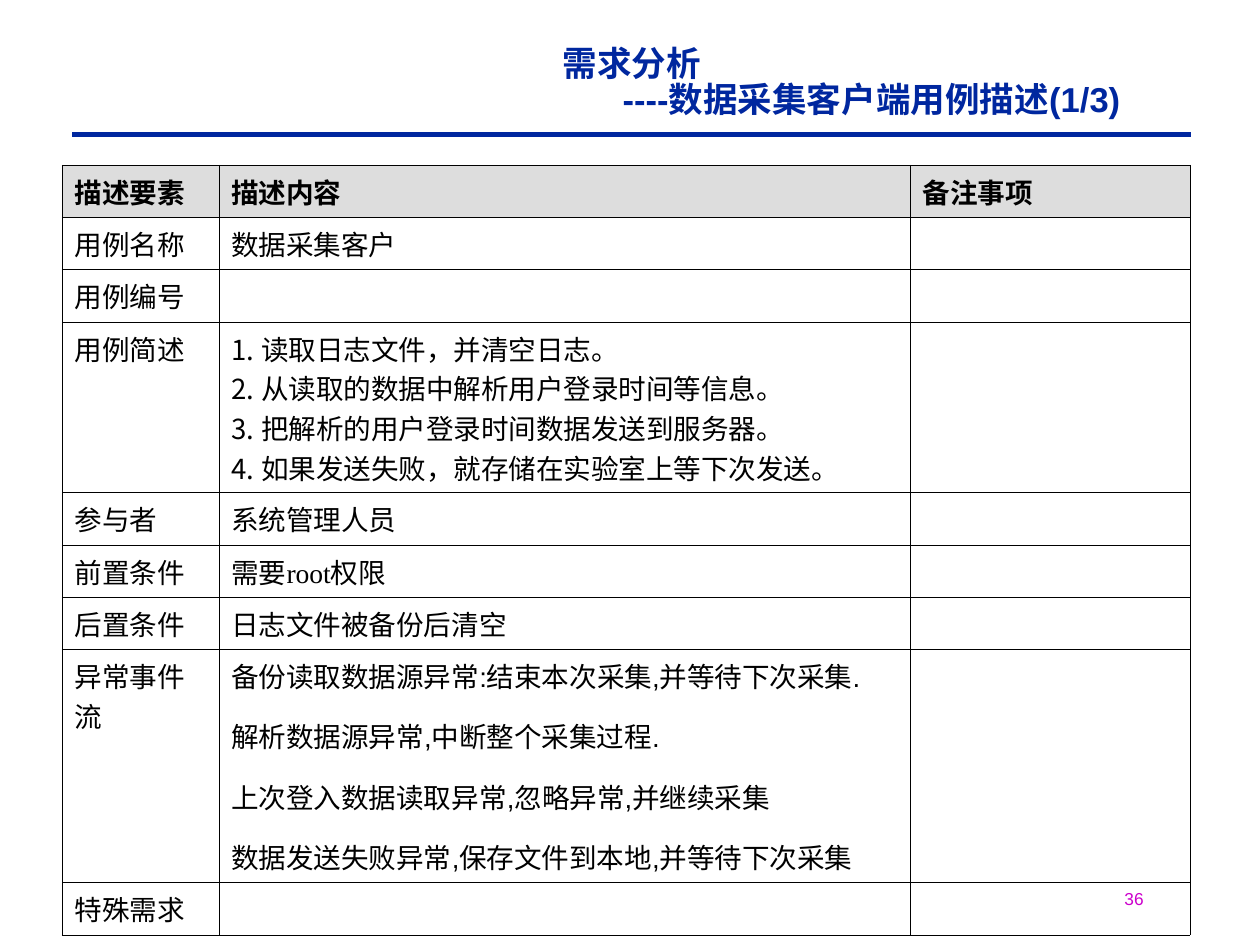
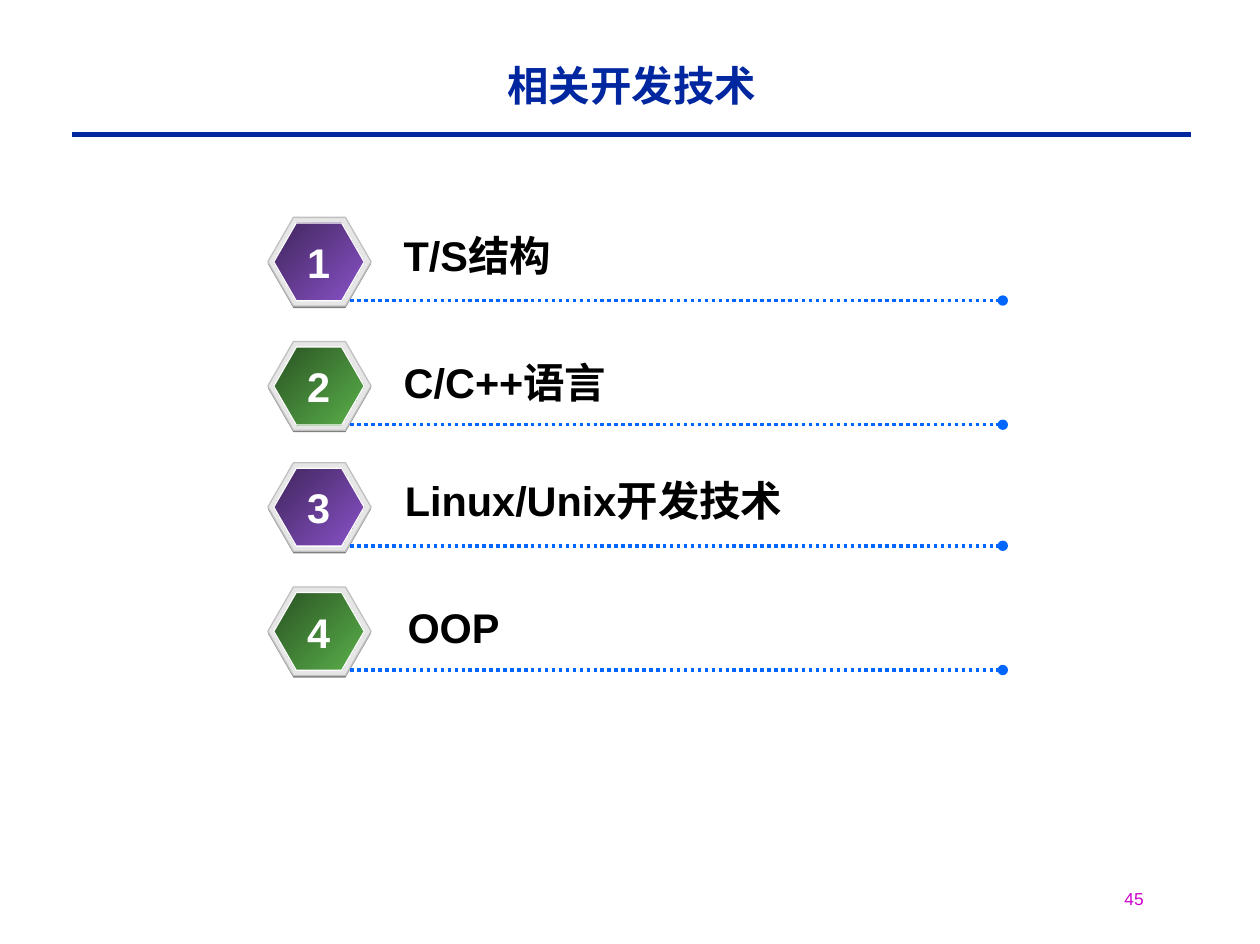
from lxml import etree
from pptx import Presentation
from pptx.dml.color import RGBColor
from pptx.enum.dml import MSO_LINE
from pptx.enum.shapes import MSO_CONNECTOR, MSO_SHAPE
from pptx.enum.text import MSO_ANCHOR, PP_ALIGN
from pptx.oxml.ns import qn
from pptx.util import Pt

NAVY = RGBColor(0x00, 0x27, 0x9F)
MAGENTA = RGBColor(0xCC, 0x00, 0xCC)
BLACK = RGBColor(0x00, 0x00, 0x00)
WHITE = RGBColor(0xFF, 0xFF, 0xFF)
HEADER_GRAY = RGBColor(0xDD, 0xDD, 0xDD)
SHADE_GRAY = RGBColor(0x80, 0x80, 0x80)
RIM_GRAY = RGBColor(0xE6, 0xE6, 0xE6)
EDGE_GRAY = RGBColor(0xC0, 0xC0, 0xC0)
DOT_BLUE = RGBColor(0x00, 0x66, 0xFF)
PURPLES = RGBColor(0x40, 0x26, 0x5D), RGBColor(0x8A, 0x52, 0xC8)
GREENS = RGBColor(0x2A, 0x52, 0x23), RGBColor(0x5A, 0xB1, 0x4B)

SANS, SERIF = "Arial", "Times New Roman"


class Deck:
    """Holds the shared style and the slide being built."""

    def __init__(self):
        self.presentation = Presentation()
        self.presentation.slide_width = Pt(730)
        self.presentation.slide_height = Pt(547.2)
        self.slide = None

    def add_slide(self, number):
        layout = self.presentation.slide_layouts[6]
        self.slide = self.presentation.slides.add_slide(layout)
        self.line(41.8, 689.8, 77.8, NAVY, 2.75)
        self.text(644.4, 511.2, 60, 19.4, [str(number)], 10, MAGENTA)

    def style(self, paragraph, size, color, bold=False, font=SANS):
        paragraph.font.name = font
        paragraph.font.size = Pt(size)
        paragraph.font.bold = bold
        paragraph.font.color.rgb = color

    def text(self, left, top, width, height, lines, size, color, bold=False,
             align=PP_ALIGN.LEFT):
        box = self.slide.shapes.add_textbox(Pt(left), Pt(top), Pt(width), Pt(height))
        frame = box.text_frame
        frame.word_wrap = True
        frame.text = "\n".join(lines)
        for paragraph in frame.paragraphs:
            paragraph.alignment = align
            self.style(paragraph, size, color, bold)
        return frame

    def title(self, top, height, size, *lines):
        frame = self.text(48.2, top, 635.8, height, lines, size, NAVY, True,
                          PP_ALIGN.CENTER)
        frame.vertical_anchor = MSO_ANCHOR.BOTTOM
        for paragraph in frame.paragraphs:
            paragraph.line_spacing = 0.87
        # A subtitle line is indented from the left
        for paragraph in frame.paragraphs[1:]:
            paragraph.alignment = PP_ALIGN.LEFT
            paragraph._p.get_or_add_pPr().set("marL", str(Pt(305.5)))

    def line(self, start, end, y, color, width, dotted=False):
        connector = self.slide.shapes.add_connector(
            MSO_CONNECTOR.STRAIGHT, Pt(start), Pt(y), Pt(end), Pt(y))
        connector.line.color.rgb = color
        connector.line.width = Pt(width)
        if dotted:
            connector.line.dash_style = MSO_LINE.ROUND_DOT
            outline = connector.line._get_or_add_ln()
            etree.SubElement(outline, qn("a:tailEnd")).set("type", "oval")
        etree.SubElement(connector._element.spPr, qn("a:effectLst"))

    def hexagon(self, group, left, top, width, height, colors, edge=None):
        shape = group.shapes.add_shape(
            MSO_SHAPE.HEXAGON, Pt(left), Pt(top), Pt(width), Pt(height))
        shape.shadow.inherit = False
        shape.adjustments[0] = 0.289
        if len(colors) == 1:
            shape.fill.solid()
            shape.fill.fore_color.rgb = colors[0]
        else:
            shape.fill.gradient()
            shape.fill.gradient_angle = 315
            for stop, color in zip(shape.fill.gradient_stops, colors):
                stop.color.rgb = color
        if edge is None:
            shape.line.fill.background()
        else:
            shape.line.color.rgb = edge
            shape.line.width = Pt(0.75)

    def badge(self, top, colors):
        group = self.slide.shapes.add_group_shape()
        self.hexagon(group, 155.2, top + 1.2, 59.8, 51.4, [SHADE_GRAY])
        self.hexagon(group, 155.2, top, 59.8, 51.4, [RIM_GRAY], EDGE_GRAY)
        self.hexagon(group, 158.6, top + 3.2, 52.4, 45.2, colors, WHITE)

    def cell(self, cell, lines, header=False, font=SERIF, numbered=False, gap=0):
        properties = cell._tc.get_or_add_tcPr()
        for side in ("lnL", "lnR", "lnT", "lnB"):
            border = etree.SubElement(properties, qn("a:" + side), w=str(Pt(0.45)))
            fill = etree.SubElement(border, qn("a:solidFill"))
            etree.SubElement(fill, qn("a:srgbClr"), val=str(BLACK))
        if header:
            cell.fill.solid()
            cell.fill.fore_color.rgb = HEADER_GRAY
        else:
            cell.fill.background()
        cell.text_frame.text = "\n".join(lines)
        for index, paragraph in enumerate(cell.text_frame.paragraphs):
            if numbered:
                settings = paragraph._p.get_or_add_pPr()
                settings.set("marL", str(Pt(17.2)))
                settings.set("indent", str(-Pt(17.2)))
                etree.SubElement(settings, qn("a:buAutoNum"), type="arabicPeriod")
            if gap and index:
                paragraph.space_before = Pt(gap)
            self.style(paragraph, 16, BLACK, header, font)

    def table(self, left, top, widths, heights, rows):
        table = self.slide.shapes.add_table(
            len(heights), len(widths), Pt(left), Pt(top),
            Pt(sum(widths)), Pt(sum(heights))).table
        table.first_row = table.horz_banding = False
        for column, width in zip(table.columns, widths):
            column.width = Pt(width)
        for row, height in zip(table.rows, heights):
            row.height = Pt(height)
        for index, (name, content, remark, options) in enumerate(rows):
            header = index == 0
            self.cell(table.cell(index, 0), [name], header)
            self.cell(table.cell(index, 1), content, header, **options)
            self.cell(table.cell(index, 2), [remark], header)


def build_use_case(deck):
    deck.add_slide(36)
    deck.title(18, 54.7, 20, "需求分析", "----数据采集客户端用例描述(1/3)")
    steps = [
        "读取日志文件，并清空日志。",
        "从读取的数据中解析用户登录时间等信息。",
        "把解析的用户登录时间数据发送到服务器。",
        "如果发送失败，就存储在实验室上等下次发送。",
    ]
    exceptions = [
        "备份读取数据源异常:结束本次采集,并等待下次采集.",
        "解析数据源异常,中断整个采集过程.",
        "上次登入数据读取异常,忽略异常,并继续采集",
        "数据发送失败异常,保存文件到本地,并等待下次采集",
    ]
    rows = [
        ("描述要素", ["描述内容"], "备注事项", {}),
        ("用例名称", ["数据采集客户"], "", {}),
        ("用例编号", [""], "", {}),
        ("用例简述", steps, "", {"numbered": True}),
        ("参与者", ["系统管理人员"], "", {}),
        ("前置条件", ["需要root权限"], "", {}),
        ("后置条件", ["日志文件被备份后清空"], "", {}),
        ("异常事件流", exceptions, "", {"font": SANS, "gap": 12}),
        ("特殊需求", [""], "", {}),
    ]
    plain = 30.3
    heights = [plain] * 3 + [99] + [plain] * 3 + [135.3, plain]
    deck.table(36, 95.8, [90.9, 400.5, 162.1], heights, rows)


def build_technologies(deck):
    deck.add_slide(45)
    deck.title(30, 37.4, 24, "相关开发技术")
    # Badge top, then label left, top and wording
    items = [
        (126, 226.8, 129.6, "T/S结构"),
        (198, 226.8, 203.6, "C/C++语言"),
        (268.2, 227.5, 271.6, "Linux/Unix开发技术"),
        (340.2, 229, 345.6, "OOP"),
    ]
    for number, (top, left, label_top, label) in enumerate(items, 1):
        deck.badge(top, PURPLES if number % 2 else GREENS)
        deck.line(203, 581, top + 48.2, DOT_BLUE, 2, dotted=True)
        deck.text(left, label_top, 300, 36, [label], 24, BLACK, True)
        deck.text(170.8, top + 8, 27.4, 36, [str(number)], 24, WHITE, True,
                  PP_ALIGN.CENTER)


def main():
    deck = Deck()
    build_use_case(deck)
    build_technologies(deck)
    deck.presentation.save("out.pptx")


if __name__ == "__main__":
    main()
